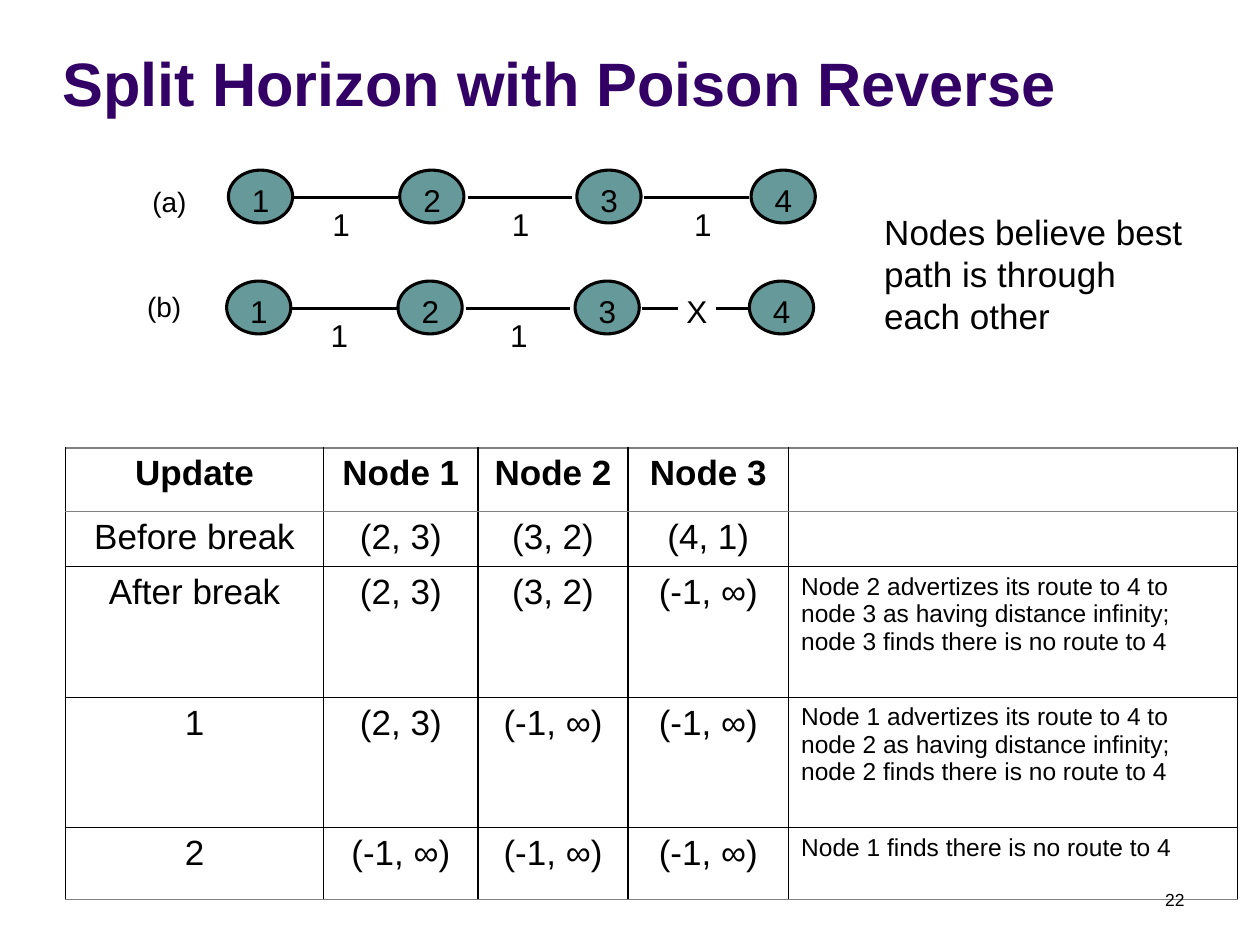
from lxml.etree import SubElement
from pptx import Presentation
from pptx.dml.color import RGBColor
from pptx.enum.shapes import MSO_CONNECTOR, MSO_SHAPE
from pptx.enum.text import MSO_ANCHOR as ANCHOR, PP_ALIGN as ALIGN
from pptx.oxml import parse_xml
from pptx.oxml.ns import nsdecls, qn
from pptx.util import Pt

FONT = "Arial"
BLACK, GREY, TEAL, PURPLE = "000000", "808080", "669999", "330066"

NODE_W, NODE_H = 36.7, 30.2
NODES = [("1", 130.5), ("2", 228.4), ("3", 329.6), ("4", 429.2)]
ROWS = [
    dict(label="(a)", label_at=(80, 102.2), left=0, top=97.2,
         links=[(167.8, 227.6), (267.2, 327), (368, 427.8)],
         costs=[("1", 190), ("1", 292.5), ("1", 396.7)], breaks=[]),
    dict(label="(b)", label_at=(77, 162), left=-1, top=160.6,
         links=[(167.8, 227.6), (267.2, 327), (368, 388.2), (410, 429.4)],
         costs=[("1", 190), ("1", 292.5)], breaks=[("X", 393.2)]),
]

HEADER = ["Update", "Node 1", "Node 2", "Node 3", ""]
UPDATES = [
    ["Before break", "(2, 3)", "(3, 2)", "(4, 1)", ""],
    ["After break", "(2, 3)", "(3, 2)", "(-1, ∞)",
     "Node 2 advertizes its route to 4 to node 3 as having distance infinity; "
     "node 3 finds there is no route to 4"],
    ["1", "(2, 3)", "(-1, ∞)", "(-1, ∞)",
     "Node 1 advertizes its route to 4 to node 2 as having distance infinity; "
     "node 2 finds there is no route to 4"],
    ["2", "(-1, ∞)", "(-1, ∞)", "(-1, ∞)", "Node 1 finds there is no route to 4"],
]
COL_W = [147.6, 88.2, 85.7, 91.8, 256.3]
ROW_H = [36.3, 31.5, 74.6, 74.6, 41]
THIN = (BLACK, 0.75)
RULES = [(GREY, 0.96), (GREY, 0.45), THIN, THIN, THIN, (GREY, 0.96)]


def rgb(value):
    return RGBColor.from_string(value)


def write(tf, text, size=18, color=BLACK, bold=False, align=ALIGN.LEFT):
    p = tf.paragraphs[0]
    p.alignment = align
    r = p.add_run()
    r.text = text
    r.font.name = FONT
    r.font.size = Pt(size)
    r.font.bold = bold
    r.font.color.rgb = rgb(color)


def add_text(text, x, y, w, h, inset=(7.2, 3.6), wrap=True, anchor=ANCHOR.TOP, **fmt):
    tf = s.shapes.add_textbox(Pt(x), Pt(y), Pt(w), Pt(h)).text_frame
    tf.word_wrap = wrap
    tf.vertical_anchor = anchor
    tf.margin_left = tf.margin_right = Pt(inset[0])
    tf.margin_top = tf.margin_bottom = Pt(inset[1])
    write(tf, text, **fmt)


def add_mark(text, x, y, w=10):
    add_text(text, x, y, w, 21.6, inset=(0, 0), wrap=False)


def add_node(name, x, y):
    sp = s.shapes.add_shape(MSO_SHAPE.OVAL, Pt(x), Pt(y), Pt(NODE_W), Pt(NODE_H))
    sp.shadow.inherit = False
    sp.fill.solid()
    sp.fill.fore_color.rgb = rgb(TEAL)
    sp.line.color.rgb = rgb(BLACK)
    sp.line.width = Pt(1.75)
    add_mark(name, x + 13.5, y + 6.5)


def add_link(x1, x2, y):
    c = s.shapes.add_connector(MSO_CONNECTOR.STRAIGHT, Pt(x1), Pt(y), Pt(x2), Pt(y))
    c.line.color.rgb = rgb(BLACK)
    c.line.width = Pt(1.75)
    SubElement(c._element.spPr, qn("a:effectLst"))


def set_borders(cell, **sides):
    tc_pr = cell._tc.get_or_add_tcPr()
    for i, (side, (color, width)) in enumerate(sides.items()):
        tc_pr.insert(i, parse_xml(
            f'<a:ln{side} {nsdecls("a")} w="{int(Pt(width))}"><a:solidFill>'
            f'<a:srgbClr val="{color}"/></a:solidFill></a:ln{side}>'))


def add_updates(x, y):
    rows = [HEADER] + UPDATES
    table = s.shapes.add_table(len(rows), len(HEADER), Pt(x), Pt(y),
                               Pt(sum(COL_W)), Pt(sum(ROW_H))).table
    table.first_row = table.horz_banding = False
    for col, width in zip(table.columns, COL_W):
        col.width = Pt(width)
    for i, texts in enumerate(rows):
        table.rows[i].height = Pt(ROW_H[i])
        for j, text in enumerate(texts):
            cell = table.cell(i, j)
            cell.fill.background()
            set_borders(cell, L=THIN, R=THIN, T=RULES[i], B=RULES[i + 1])
            if text:
                note = j == len(HEADER) - 1
                write(cell.text_frame, text, size=14 if note else 20, bold=i == 0,
                      align=ALIGN.LEFT if note else ALIGN.CENTER)


prs = Presentation()
prs.slide_width, prs.slide_height = Pt(720), Pt(540)
s = prs.slides.add_slide(prs.slide_layouts[6])

for row in ROWS:
    left, top = row["left"], row["top"]
    for name, x in NODES:
        add_node(name, left + x, top)
    for x1, x2 in row["links"]:
        add_link(left + x1, left + x2, top + 15.8)
    for cost, x in row["costs"]:
        add_mark(cost, left + x, top + 20.2)
    for mark, x in row["breaks"]:
        add_mark(mark, left + x, top + 6.5, w=12)
    add_text(row["label"], *row["label_at"], 37.4, 26.6, size=16)

add_text("Split Horizon with Poison Reverse", 28.8, 9.4, 601, 62,
         anchor=ANCHOR.BOTTOM, size=35, color=PURPLE, bold=True)
add_text("Nodes believe best path is through each other", 498.2, 116.6, 195, 79, size=20)
add_updates(37.4, 256)
add_text("22", 516.2, 504.7, 167.8, 23, size=10, align=ALIGN.RIGHT)

prs.save("out.pptx")
